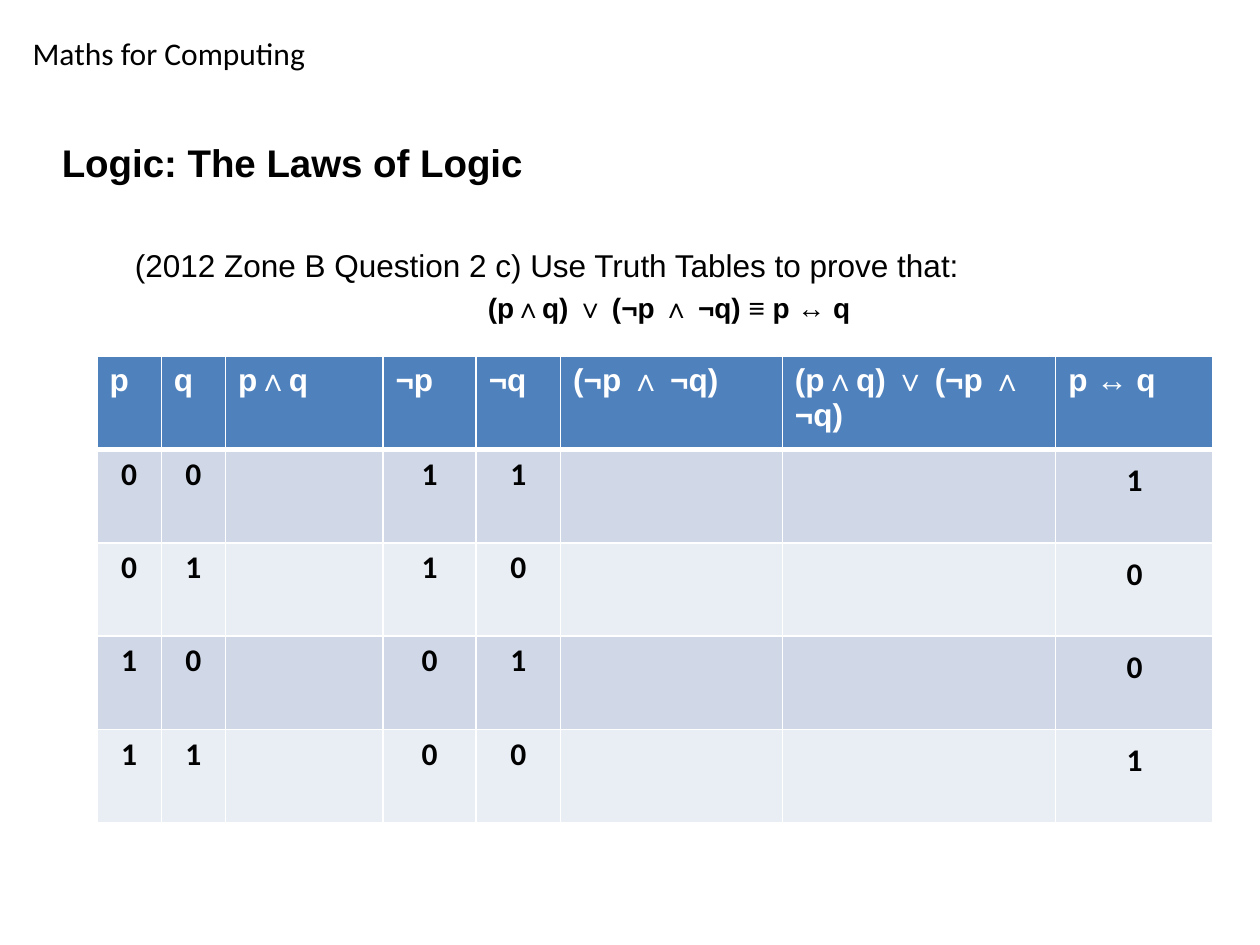
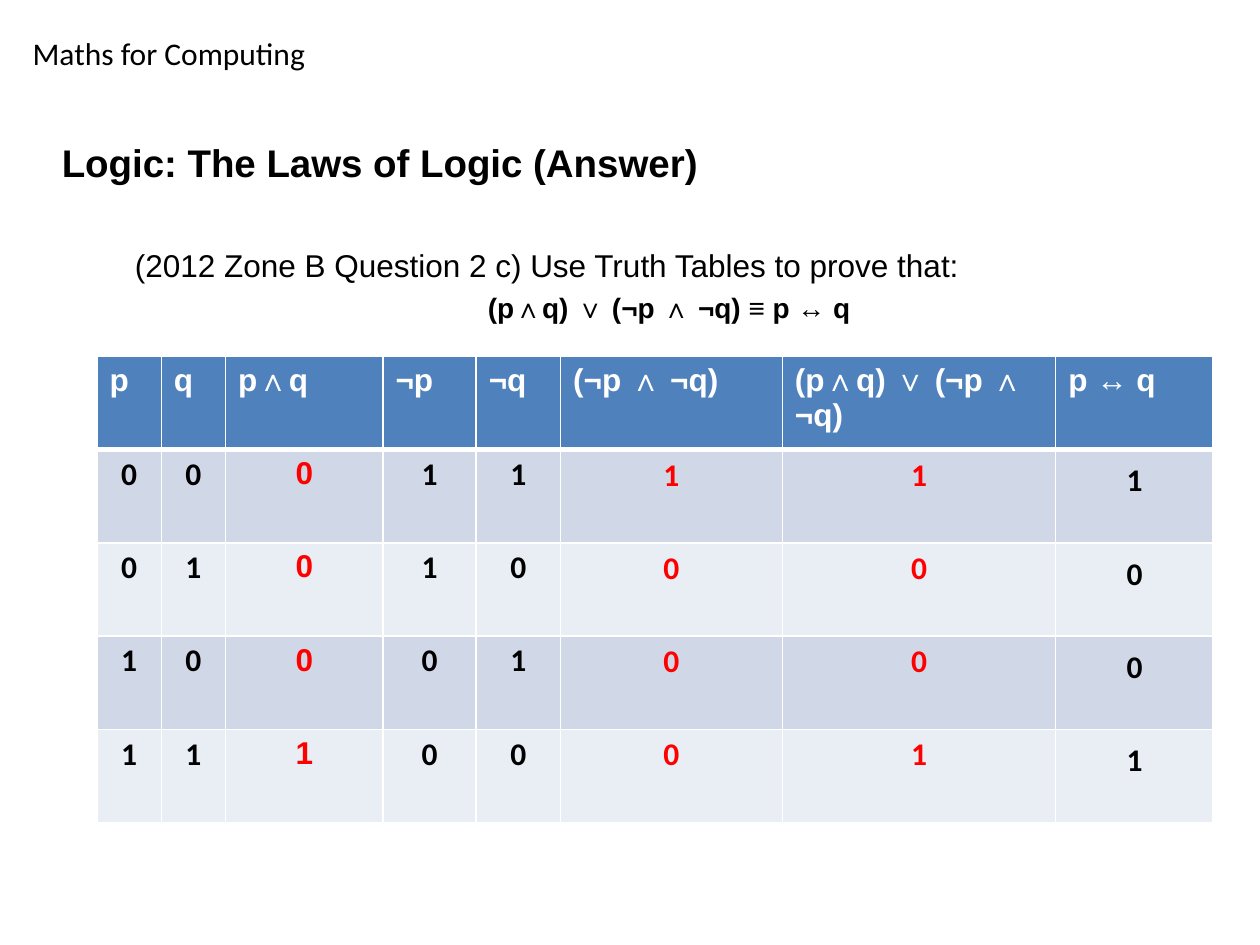
from itertools import product

from lxml import etree
from pptx import Presentation
from pptx.dml.color import RGBColor
from pptx.enum.text import MSO_ANCHOR, MSO_AUTO_SIZE, PP_ALIGN
from pptx.oxml.ns import qn
from pptx.util import Pt

PX = 9144  # EMU per px, 100 px to the inch
LEFT, CENTER = PP_ALIGN.LEFT, PP_ALIGN.CENTER
TOP = MSO_ANCHOR.TOP
NO_FIT = MSO_AUTO_SIZE.NONE

BLACK = RGBColor(0x00, 0x00, 0x00)
WHITE = RGBColor(0xFF, 0xFF, 0xFF)
ANSWER_RED = RGBColor(0xFF, 0x00, 0x00)
HEADER_BLUE = RGBColor(0x4F, 0x81, 0xBD)
ROW_BANDS = RGBColor(0xD0, 0xD8, 0xE8), RGBColor(0xE9, 0xED, 0xF4)

COURSE_BOX = 16, 22, 691, 40
TITLE_BOX = 39, 102, 812, 43
BODY_BOX = 50, 190, 915, 560
TABLE_BOX = 77, 283, 886, 370

COURSE = dict(name="Calibri", size=Pt(18), color=BLACK)
TITLE = dict(name="Arial", size=Pt(22), color=BLACK, bold=True)
QUESTION = dict(name="Arial", size=Pt(18), color=BLACK, bold=False)
FORMULA = dict(name="Arial", size=Pt(16), color=BLACK)
HEADER = dict(name="Arial", size=Pt(18), color=WHITE, bold=True)
GIVEN = dict(name="Calibri", size=Pt(18), color=BLACK, bold=True)
ANSWER = dict(GIVEN, color=ANSWER_RED)

QUESTION_TEXT = "(2012 Zone B Question 2 c) Use Truth Tables to prove that:"
# Bold and regular pieces take turns, starting with bold.
FORMULA_PIECES = ["(p", "∧", "q) ", "∨ ", "(¬p ", "∧", " ¬q) ", "≡", " p ", "↔ ", "q"]

HEADINGS = ["p", "q", "p∧q", "¬p", "¬q", "(¬p ∧ ¬q)", "(p∧q) ∨ (¬p ∧ ¬q)", "p ↔ q"]
COL_WIDTHS = [51, 51, 125, 74, 67, 176, 217, 125]
ANSWER_COLS = {2, 5, 6}
AND_COL, IFF_COL = 2, 7


def place(sp, box):
    for side, length in zip(("left", "top", "width", "height"), box):
        setattr(sp, side, length * PX)


def add_run(p, text, color, **font):
    r = p.add_run()
    r.text = text
    r.font.color.rgb = color
    for key, value in font.items():
        setattr(r.font, key, value)


def format_paragraph(p, margin=None, indent=0, **props):
    """Set paragraph properties; a margin also removes the bullet."""
    for key, value in props.items():
        setattr(p, key, value)
    if margin is not None:
        pPr = p._p.get_or_add_pPr()
        pPr.set("marL", str(margin * PX))
        pPr.set("indent", str(indent * PX))
        etree.SubElement(pPr, qn("a:buNone"))


def set_up_layout(prs):
    layout = prs.slide_layouts[1]
    for sp, box in zip(layout.placeholders, (TITLE_BOX, BODY_BOX)):
        place(sp, box)
    return layout


def move_course_name_to_master(prs, s):
    """Only slides can create a text box, so it is made there and moved."""
    sp = s.shapes.add_textbox(*(n * PX for n in COURSE_BOX))
    sp.text_frame.word_wrap = True
    add_run(sp.text_frame.paragraphs[0], "Maths for Computing", **COURSE)
    sp._element.nvSpPr.cNvPr.set("id", "20")
    prs.slide_master.shapes._spTree.append(sp._element)


def fill_title(sp, text):
    tf = sp.text_frame
    for key, value in dict(vertical_anchor=TOP, auto_size=NO_FIT, margin_top=8 * PX).items():
        setattr(tf, key, value)
    p = tf.paragraphs[0]
    format_paragraph(p, margin=38, indent=-38, alignment=LEFT)
    add_run(p, text, **TITLE)


def fill_question(sp):
    tf = sp.text_frame
    tf.auto_size = NO_FIT
    question, formula = tf.paragraphs[0], tf.add_paragraph()
    for p, alignment in ((question, LEFT), (formula, CENTER)):
        format_paragraph(p, margin=47, level=1, space_before=Pt(4), alignment=alignment)
    add_run(question, QUESTION_TEXT, **QUESTION)
    for i, piece in enumerate(FORMULA_PIECES):
        add_run(formula, piece, bold=i % 2 == 0, **FORMULA)


def truth_rows():
    for p, q in product((0, 1), repeat=2):
        both, neither = p & q, (1 - p) & (1 - q)
        yield [p, q, both, 1 - p, 1 - q, neither, both | neither, int(p == q)]


def style_cell(cell, fill, **border_widths):
    tcPr = cell._tc.get_or_add_tcPr()
    for side in "LRTB":
        width = Pt(border_widths.get(side, 1))
        ln = etree.SubElement(tcPr, qn(f"a:ln{side}"), w=str(width))
        solid = etree.SubElement(ln, qn("a:solidFill"))
        etree.SubElement(solid, qn("a:srgbClr"), val=str(WHITE))
    cell.fill.solid()
    cell.fill.fore_color.rgb = fill


def fill_value(cell, col, value):
    p = cell.text_frame.paragraphs[0]
    if col in ANSWER_COLS:
        format_paragraph(p, alignment=CENTER)
        font = dict(ANSWER, name="Arial") if col == AND_COL else ANSWER
    else:
        format_paragraph(p, alignment=CENTER, line_spacing=1.15, space_after=Pt(8))
        font = GIVEN
        if col != IFF_COL:
            cell.margin_left = cell.margin_right = 7 * PX
            cell.margin_top = cell.margin_bottom = 0
    add_run(p, str(value), **font)


def add_truth_table(s, box, show_answers):
    rows = list(truth_rows())
    frame = s.shapes.add_table(len(rows) + 1, len(HEADINGS), *(n * PX for n in box))
    table = frame.table
    for column, width in zip(table.columns, COL_WIDTHS):
        column.width = width * PX
    for col, heading in enumerate(HEADINGS):
        cell = table.cell(0, col)
        style_cell(cell, HEADER_BLUE, B=3)
        add_run(cell.text_frame.paragraphs[0], heading, **HEADER)
    for i, values in enumerate(rows):
        for col, value in enumerate(values):
            cell = table.cell(i + 1, col)
            style_cell(cell, ROW_BANDS[i % 2], T=3 if i == 0 else 1)
            if show_answers or col not in ANSWER_COLS:
                fill_value(cell, col, value)


def add_exercise(prs, layout, title, show_answers):
    s = prs.slides.add_slide(layout)
    fill_title(s.shapes.title, title)
    fill_question(s.placeholders[1])
    add_truth_table(s, TABLE_BOX, show_answers)
    return s


def main():
    prs = Presentation()
    prs.slide_width, prs.slide_height = 1000 * PX, 750 * PX
    layout = set_up_layout(prs)
    s = add_exercise(prs, layout, "Logic: The Laws of Logic", show_answers=False)
    move_course_name_to_master(prs, s)
    add_exercise(prs, layout, "Logic: The Laws of Logic (Answer)", show_answers=True)
    prs.save("out.pptx")


if __name__ == "__main__":
    main()
